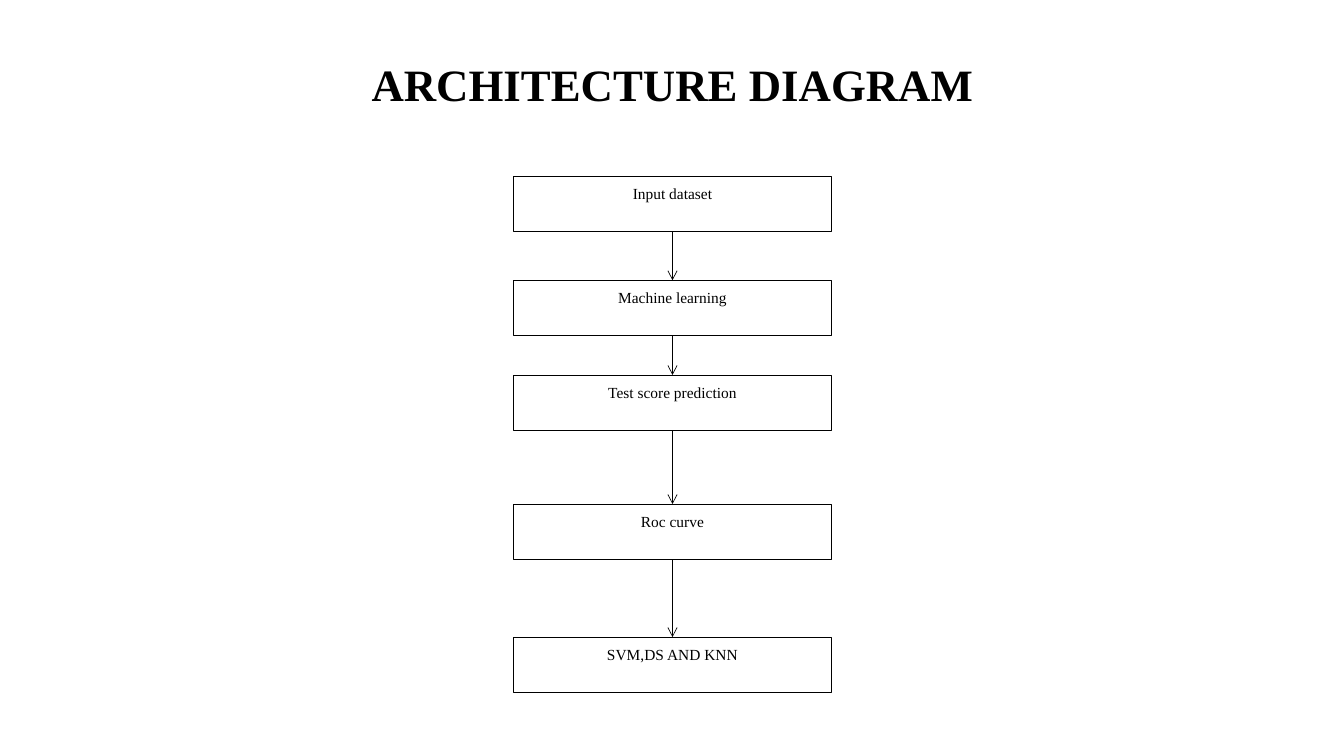
"""Build the architecture diagram slide: five stages joined by arrows."""
from dataclasses import dataclass
from itertools import pairwise

from lxml import etree
from pptx import Presentation
from pptx.dml.color import RGBColor
from pptx.enum import shapes, text
from pptx.oxml import ns
from pptx.shapes.autoshape import Shape
from pptx.slide import Slide
from pptx.text.text import _Paragraph as Paragraph
from pptx.util import Inches, Pt

BLACK = RGBColor(0x00, 0x00, 0x00)
WHITE = RGBColor(0xFF, 0xFF, 0xFF)
FONT = "Times New Roman"
LINE_WIDTH = Pt(0.5)
STAGE_LEFT, STAGE_WIDTH, STAGE_HEIGHT = 5.09, 3.16, 0.55
BOTTOM, TOP = 2, 0


@dataclass(frozen=True)
class Stage:
    label: str
    top: float


STAGES = [
    Stage("Input dataset", 1.75),
    Stage("Machine learning", 2.78),
    Stage("Test score prediction", 3.72),
    Stage("Roc curve", 5.0),
    Stage("SVM,DS AND KNN", 6.32),
]


def format_paragraph(paragraph: Paragraph, size: float, spacing: float, bold: bool = False) -> None:
    paragraph.alignment = text.PP_ALIGN.CENTER
    paragraph.line_spacing = spacing
    for run in paragraph.runs:
        run.font.name = FONT
        run.font.size = Pt(size)
        run.font.bold = bold
        run.font.color.rgb = BLACK


def set_title(slide: Slide, wording: str) -> None:
    title = slide.shapes.title
    title.left, title.top = Inches(0.92), Inches(0.4)
    title.width, title.height = Inches(11.5), Inches(1.45)
    frame = title.text_frame
    frame.text = wording
    frame.vertical_anchor = text.MSO_ANCHOR.MIDDLE
    frame.margin_bottom = Inches(0.57)
    format_paragraph(frame.paragraphs[0], 32, 0.9, bold=True)


def add_stage(slide: Slide, stage: Stage) -> Shape:
    box = slide.shapes.add_shape(
        shapes.MSO_SHAPE.RECTANGLE,
        Inches(STAGE_LEFT), Inches(stage.top), Inches(STAGE_WIDTH), Inches(STAGE_HEIGHT),
    )
    box.shadow.inherit = False
    box.fill.solid()
    box.fill.fore_color.rgb = WHITE
    box.line.color.rgb = BLACK
    box.line.width = LINE_WIDTH
    frame = box.text_frame
    frame.text = stage.label
    frame.vertical_anchor = text.MSO_ANCHOR.TOP
    paragraph = frame.paragraphs[0]
    paragraph.space_after = Pt(10)
    format_paragraph(paragraph, 11, 1.15)
    return box


def add_arrow(slide: Slide, source: Shape, target: Shape) -> None:
    arrow = slide.shapes.add_connector(shapes.MSO_CONNECTOR.STRAIGHT, 0, 0, 0, 0)
    arrow.begin_connect(source, BOTTOM)
    arrow.end_connect(target, TOP)
    arrow.line.color.rgb = BLACK
    arrow.line.width = LINE_WIDTH
    properties = arrow.element.spPr
    etree.SubElement(properties.find(ns.qn("a:ln")), ns.qn("a:tailEnd"), type="arrow")
    etree.SubElement(properties, ns.qn("a:effectLst"))


def main() -> None:
    presentation = Presentation()
    presentation.slide_width, presentation.slide_height = Inches(13.33), Inches(7.5)
    slide = presentation.slides.add_slide(presentation.slide_layouts.get_by_name("Title Only"))
    set_title(slide, "ARCHITECTURE DIAGRAM")
    boxes = [add_stage(slide, stage) for stage in STAGES]
    for source, target in pairwise(boxes):
        add_arrow(slide, source, target)
    presentation.save("out.pptx")


if __name__ == "__main__":
    main()
